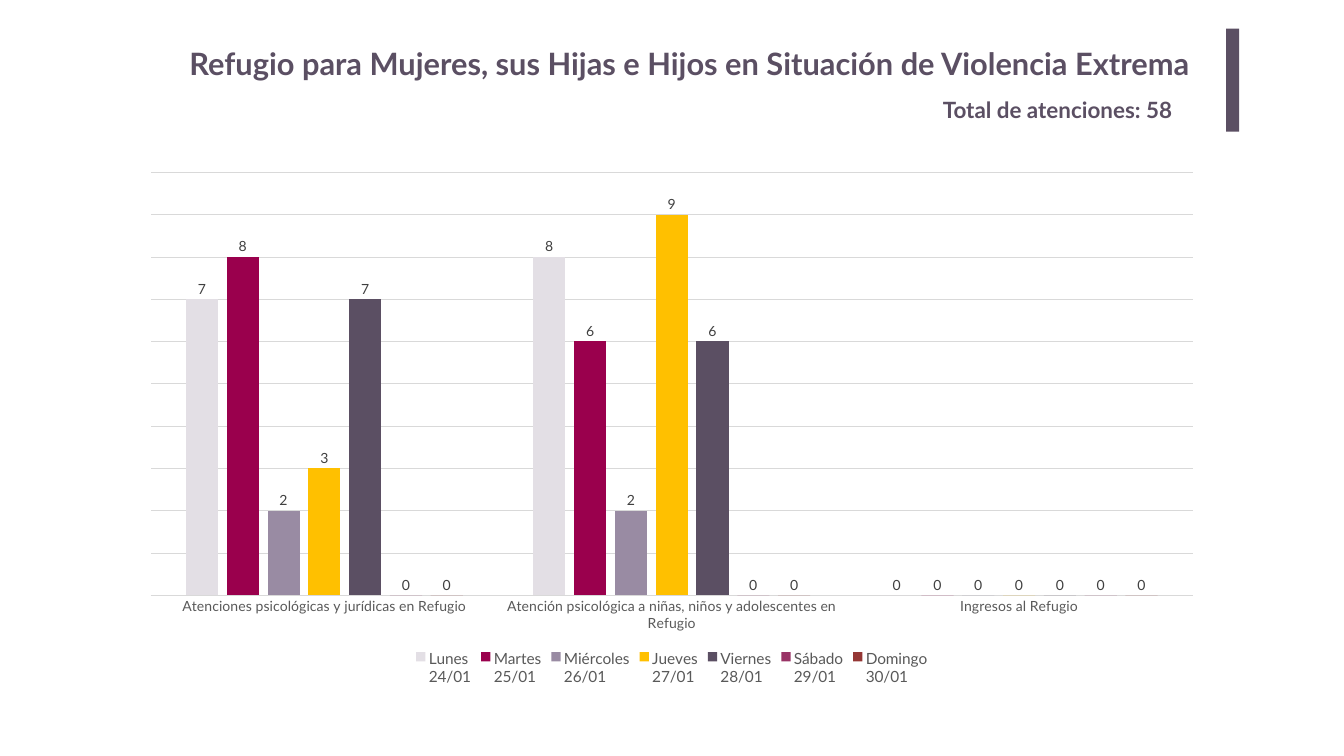
import pptx
import pptx.chart.data
import pptx.dml.color
import pptx.enum.chart
import pptx.enum.shapes
import pptx.enum.text
import pptx.util
from pptx.util import Inches

FONT = "Lato"
COLORS = {
    "plum": "5B4F63",
    "grid": "D9D9D9",
    "axis_text": "595959",
    "label_text": "404040",
}
CATEGORIES = [
    "Atenciones psicológicas y jurídicas en Refugio",
    "Atención psicológica a niñas, niños y adolescentes en Refugio",
    "Ingresos al Refugio",
]
DAYS = [
    ("Lunes\n24/01", (7, 8, 0), "E3DFE5"),
    ("Martes\n25/01", (8, 6, 0), "9A004D"),
    ("Miércoles\n26/01", (2, 2, 0), "998BA3"),
    ("Jueves\n27/01", (3, 9, 0), "FFC000"),
    ("Viernes\n28/01", (7, 6, 0), "5B4F63"),
    ("Sábado\n29/01", (0, 0, 0), "993366"),
    ("Domingo\n30/01", (0, 0, 0), "953735"),
]


def rgb(value):
    return pptx.dml.color.RGBColor.from_string(value)


def style_font(font, size, color, bold=False):
    font.name = FONT
    font.size = pptx.util.Pt(size)
    font.bold = bold
    font.color.rgb = rgb(color)


def style_line(line):
    line.color.rgb = rgb(COLORS["grid"])
    line.width = pptx.util.Pt(0.75)


def place(shape, left, top, width, height):
    shape.left, shape.top = Inches(left), Inches(top)
    shape.width, shape.height = Inches(width), Inches(height)


def write_heading(shape, text, size):
    frame = shape.text_frame
    frame.text = text
    frame.word_wrap = True
    frame.auto_size = pptx.enum.text.MSO_AUTO_SIZE.SHAPE_TO_FIT_TEXT
    frame.vertical_anchor = pptx.enum.text.MSO_ANCHOR.TOP
    paragraph = frame.paragraphs[0]
    paragraph.alignment = pptx.enum.text.PP_ALIGN.LEFT
    style_font(paragraph.font, size, COLORS["plum"], bold=True)


def add_accent_bar(slide):
    accent = slide.shapes.add_shape(
        pptx.enum.shapes.MSO_SHAPE.RECTANGLE,
        Inches(24.33), Inches(0.57), Inches(0.26), Inches(2.04),
    )
    accent.shadow.inherit = False
    accent.fill.solid()
    accent.fill.fore_color.rgb = rgb(COLORS["plum"])
    accent.line.fill.background()


def style_axes(chart):
    days_axis = chart.category_axis
    days_axis.major_tick_mark = pptx.enum.chart.XL_TICK_MARK.NONE
    style_font(days_axis.tick_labels.font, 20, COLORS["axis_text"])
    style_line(days_axis.format.line)

    count_axis = chart.value_axis
    count_axis.visible = False
    count_axis.minimum_scale = 0
    count_axis.maximum_scale = 10
    count_axis.major_unit = 1
    count_axis.has_major_gridlines = True
    style_line(count_axis.major_gridlines.format.line)


def style_series(series, color):
    series.format.fill.solid()
    series.format.fill.fore_color.rgb = rgb(color)
    series.invert_if_negative = False
    labels = series.data_labels
    labels.show_value = True
    labels.position = pptx.enum.chart.XL_LABEL_POSITION.OUTSIDE_END
    style_font(labels.font, 20, COLORS["label_text"])


def add_attention_chart(slide):
    data = pptx.chart.data.CategoryChartData()
    data.categories = CATEGORIES
    for name, counts, _ in DAYS:
        data.add_series(name, counts)
    chart = slide.shapes.add_chart(
        pptx.enum.chart.XL_CHART_TYPE.COLUMN_CLUSTERED,
        Inches(2.56), Inches(3.21), Inches(21.54), Inches(10.46), data,
    ).chart
    chart.has_title = False
    style_font(chart.font, 10, "000000")

    plot = chart.plots[0]
    plot.vary_by_categories = False
    plot.gap_width = 219
    plot.overlap = -27
    for series, (_, _, color) in zip(plot.series, DAYS):
        style_series(series, color)
    style_axes(chart)

    chart.has_legend = True
    chart.legend.position = pptx.enum.chart.XL_LEGEND_POSITION.BOTTOM
    chart.legend.include_in_layout = False
    style_font(chart.legend.font, 22, COLORS["axis_text"])


def main():
    deck = pptx.Presentation()
    deck.slide_width, deck.slide_height = Inches(26.67), Inches(15)
    slide = deck.slides.add_slide(deck.slide_layouts[5])

    title = slide.shapes.title
    place(title, 3.66, 0.84, 20.73, 0.84)
    write_heading(
        title,
        "Refugio para Mujeres, sus Hijas e Hijos en Situación de Violencia Extrema",
        44,
    )
    add_accent_bar(slide)
    total = slide.shapes.add_textbox(
        Inches(18.61), Inches(1.85), Inches(5.35), Inches(0.64)
    )
    write_heading(total, "Total de atenciones: 58", 32)
    add_attention_chart(slide)
    deck.save("out.pptx")


if __name__ == "__main__":
    main()
